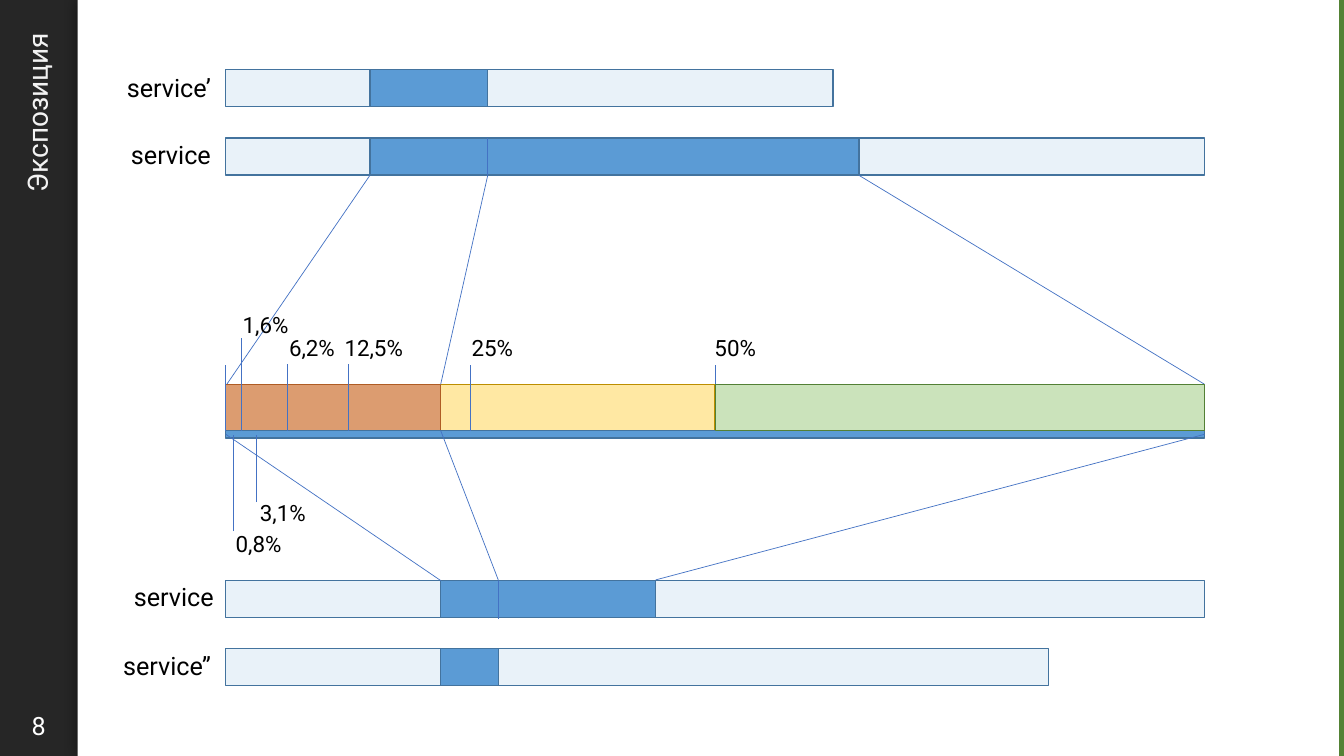
import pptx
import pptx.dml.color
import pptx.enum.shapes
import pptx.enum.text
import pptx.oxml
import pptx.oxml.ns
import pptx.util
from lxml import etree

Pt = pptx.util.Pt
color = pptx.dml.color.RGBColor.from_string
ALIGN = pptx.enum.text.PP_ALIGN
BLUE, BLUE_EDGE, GUIDE = "5B9BD5", "43739E", "4472C4"
LEFT, WIDTH = 161.3, 699.1
RIGHT = LEFT + WIDTH

deck = pptx.Presentation()
deck.slide_width, deck.slide_height = Pt(960), Pt(540)
page = deck.slides.add_slide(deck.slide_layouts[6])


def add_bar(left, top, width, height, fill, edge=None, opacity=100):
    bar = page.shapes.add_shape(pptx.enum.shapes.MSO_SHAPE.RECTANGLE,
                                Pt(left), Pt(top), Pt(width), Pt(height))
    bar.shadow.inherit = False
    bar.fill.solid()
    bar.fill.fore_color.rgb = color(fill)
    if opacity < 100:
        tint = bar.fill._xPr.find(".//" + pptx.oxml.ns.qn("a:srgbClr"))
        etree.SubElement(tint, pptx.oxml.ns.qn("a:alpha"), val=str(opacity * 1000))
    if edge:
        bar.line.color.rgb = color(edge)
        bar.line.width = Pt(1)
    else:
        bar.line.fill.background()
    return bar


def add_label(text, left, top, width, height, size, align=ALIGN.LEFT, ink="000000"):
    box = page.shapes.add_textbox(Pt(left), Pt(top), Pt(width), Pt(height))
    box.text_frame.word_wrap = True
    box.text_frame.text = text
    para = box.text_frame.paragraphs[0]
    para.alignment = align
    para.font.name = "Roboto"
    para.font.size = Pt(size)
    para.font.color.rgb = color(ink)
    return box


# Dark sidebar, white panel with a soft shadow, green edge
add_bar(0, 0, 960, 540, "262626")
panel = add_bar(55.4, 0, 904.6, 540, "FFFFFF")
effects = panel._element.spPr.find(pptx.oxml.ns.qn("a:effectLst"))
effects.append(pptx.oxml.parse_xml(
    f'<a:outerShdw {pptx.oxml.ns.nsdecls("a")} blurRad="114300" dist="0" algn="ctr" rotWithShape="0">'
    '<a:srgbClr val="000000"><a:alpha val="40000"/></a:srgbClr></a:outerShdw>'))
add_bar(956.5, 0, 3.5, 540, "548235")

# Sidebar title and slide number
title = add_label("Экспозиция", -105.8, 122.4, 267.1, 55.4, 20, ALIGN.RIGHT, "F2F2F2")
title.rotation = 270
title.text_frame.vertical_anchor = pptx.enum.text.MSO_ANCHOR.MIDDLE
title.text_frame.paragraphs[0].line_spacing = 0.9
add_label("8", 0, 504, 55.4, 29, 18, ALIGN.CENTER, "FFFFFF")

# Service bars: name, label left, label top, bar top, bar width, part left, part width
SERVICES = [
    ("service’", 70.6, 48.2, 49.5, 433.8, 264.2, 84.2),
    ("service", 70.6, 95.8, 98.6, WIDTH, 264.2, 349.5),
    ("service", 72.7, 411.8, 414.7, WIDTH, 314.8, 153.4),
    ("service’’", 70.6, 460.8, 463.3, 587.5, 314.8, 41.3),
]
for name, label_left, label_top, top, width, part_left, part_width in SERVICES:
    add_bar(LEFT, top, width, 26.6, BLUE, BLUE_EDGE, 13)
    add_bar(part_left, top, part_width, 26.4, BLUE, BLUE_EDGE)
    add_label(name, label_left, label_top, 87.1, 29, 18, ALIGN.RIGHT)

# Exposure scale: zones and the strip below them
SCALE_TOP, STRIP_TOP, ZONE_HEIGHT = 274.5, 307.6, 33.1
RED_END, MIDDLE = 314.8, LEFT + WIDTH / 2
add_bar(RED_END, SCALE_TOP, MIDDLE - RED_END, ZONE_HEIGHT, "FFD966", "BD8E00", 60)
add_bar(LEFT, SCALE_TOP, RED_END - LEFT, ZONE_HEIGHT, "C55A11", "AF5C24", 60)
strip = add_bar(LEFT, STRIP_TOP, WIDTH, 5.2, BLUE, BLUE_EDGE)

# Ticks at each share of the scale: share, start, end
TICKS = [
    (1 / 2, STRIP_TOP, 260.6), (1 / 4, STRIP_TOP, 260.6),
    (1 / 8, STRIP_TOP, 260), (1 / 16, STRIP_TOP, 260),
    (1 / 32, 358.6, 311), (1 / 64, STRIP_TOP, 241.2),
    (1 / 128, 379.4, 311), (0, STRIP_TOP, 260.6),
]
# Lines: start x, start y, end x, end y, weight, strip side joined at the start
lines = [(LEFT + WIDTH * share, start, LEFT + WIDTH * share, end, 0.5,
          0 if share == 1 / 2 else None) for share, start, end in TICKS]
lines += [
    # Zoom guides
    (LEFT, 310.2, RED_END, 414.7, 0.5, 1),
    (RIGHT, 310.2, 468.4, 414.2, 0.5, 3),
    (162, SCALE_TOP, 264.2, 125.3, 0.5, None),
    (RIGHT, SCALE_TOP, 613.7, 125.3, 0.5, None),
    (RED_END, SCALE_TOP, 348.4, 125.3, 0.5, None),
    (356.1, 414.7, RED_END, STRIP_TOP, 0.5, None),
    # Dividers inside the service bars
    (348.4, 125.3, 348.4, 98.6, 1, None),
    (356.1, 442, 356.1, 414.7, 1, None),
]
for x1, y1, x2, y2, weight, side in lines:
    line = page.shapes.add_connector(pptx.enum.shapes.MSO_CONNECTOR.STRAIGHT,
                                     Pt(x1), Pt(y1), Pt(x2), Pt(y2))
    line.line.color.rgb = color(GUIDE)
    line.line.width = Pt(weight)
    etree.SubElement(line._element.spPr, pptx.oxml.ns.qn("a:effectLst"))
    if side is not None:
        line.begin_connect(strip, side)

# The green zone covers the 50% tick
add_bar(MIDDLE, SCALE_TOP, WIDTH / 2, ZONE_HEIGHT, "A9D18E", "538035", 60)

# Percentages
PERCENTAGES = [
    ("50%", 503.3, 235.4), ("25%", 329.8, 235.4), ("12,5%", 239, 235.4),
    ("6,2%", 199.4, 235.4), ("3,1%", 178.6, 352.8), ("1,6%", 166.3, 218.9),
    ("0,8%", 161.3, 375.1),
]
for text, left, top in PERCENTAGES:
    add_label(text, left, top, 75.6 if text == "12,5%" else 55.4, 26.6, 16)

deck.save("out.pptx")
